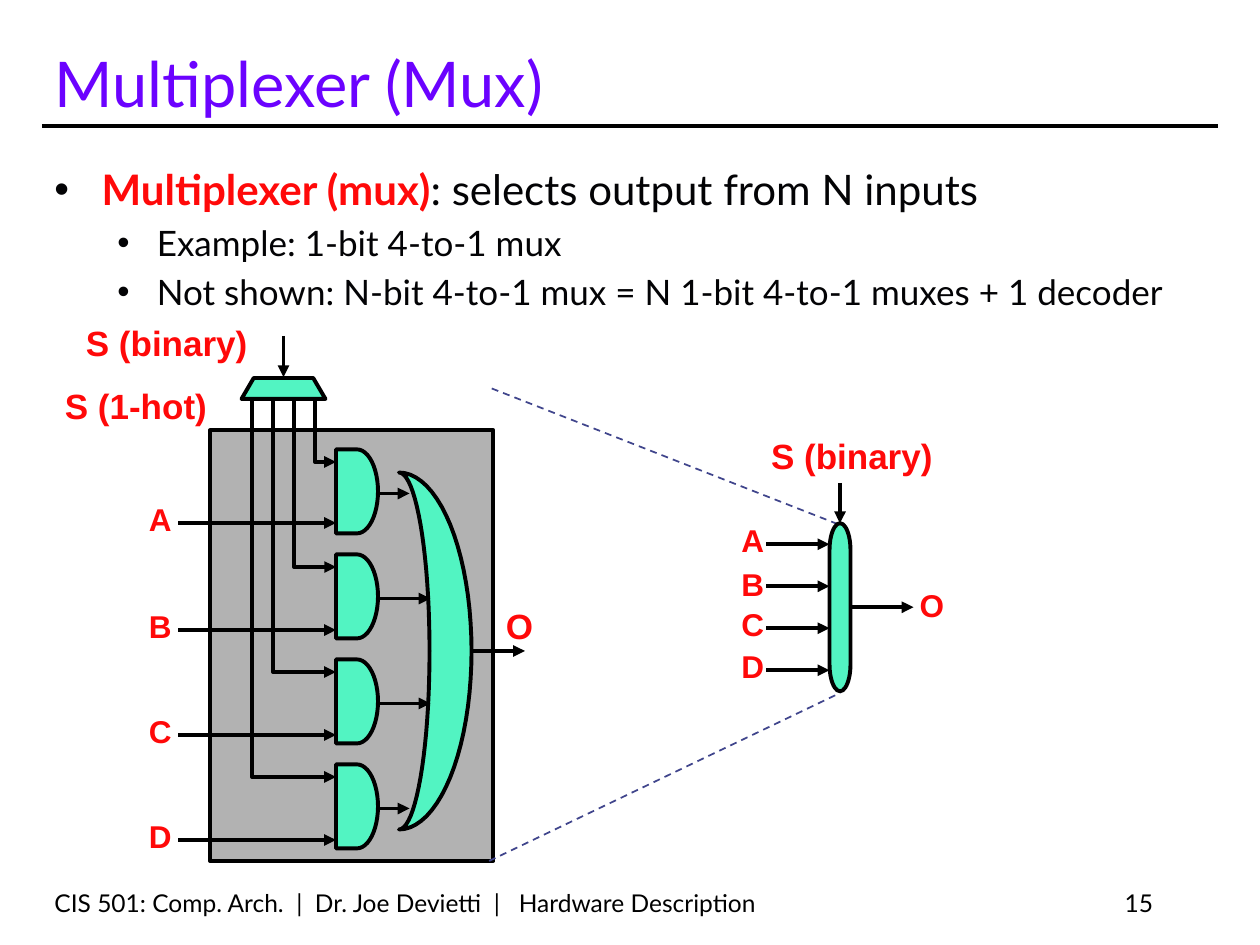
import math

from lxml import etree
from pptx import Presentation
from pptx.dml.color import RGBColor
from pptx.enum.dml import MSO_LINE
from pptx.enum.shapes import MSO_CONNECTOR, MSO_SHAPE
from pptx.enum.text import MSO_ANCHOR, MSO_AUTO_SIZE, PP_ALIGN
from pptx.oxml.ns import qn
from pptx.util import Pt

STRAIGHT = MSO_CONNECTOR.STRAIGHT
RECTANGLE = MSO_SHAPE.RECTANGLE
AND_GATE = MSO_SHAPE.FLOWCHART_DELAY
TERMINATOR = MSO_SHAPE.FLOWCHART_TERMINATOR
DASH = MSO_LINE.DASH
BOTTOM = MSO_ANCHOR.BOTTOM
FIT_SHAPE = MSO_AUTO_SIZE.SHAPE_TO_FIT_TEXT
RIGHT = PP_ALIGN.RIGHT

BLACK = RGBColor(0x00, 0x00, 0x00)
INK = RGBColor(0x03, 0x03, 0x05)
PURPLE = RGBColor(0x6B, 0x02, 0xFF)
RED = RGBColor(0xFF, 0x09, 0x09)
GREEN = RGBColor(0x52, 0xF4, 0xC2)
GREY = RGBColor(0xB2, 0xB2, 0xB2)
BLUE = RGBColor(0x40, 0x45, 0x8C)

INPUTS = "ABCD"
SELECT_WIDTH = 112
# level, left margin, hanging indent, size, space before, runs as (text, colour, bold)
BULLETS = [
    (0, 27, 27, 24, 0, [("Multiplexer (mux)", RED, True),
                        (": selects output from N inputs", INK, False)]),
    (1, 58.5, 22.5, 20, 4, [("Example: 1-bit 4-to-1 mux", INK, False)]),
    (1, 58.5, 22.5, 20, 4,
     [("Not shown: N-bit 4-to-1 mux = N 1-bit 4-to-1 muxes + 1 decoder", INK, False)]),
]


def add_run(paragraph, text, size, color, name="Lato", bold=False):
    run = paragraph.add_run()
    run.text = text
    for attribute, value in {"size": Pt(size), "name": name, "bold": bold}.items():
        setattr(run.font, attribute, value)
    run.font.color.rgb = color


def add_text(slide, box, text, size, color, align=None):
    """Put one bottom-anchored line of text into box."""
    shape = slide.shapes.add_textbox(*map(Pt, box))
    frame = shape.text_frame
    frame.word_wrap = True
    frame.vertical_anchor = BOTTOM
    paragraph = frame.paragraphs[0]
    paragraph.alignment = align
    add_run(paragraph, text, size, color)


def add_label(slide, left, top, width, text, size=18):
    shape = slide.shapes.add_textbox(Pt(left), Pt(top), Pt(width), Pt(size * 1.2 + 7.2))
    frame = shape.text_frame
    frame.word_wrap = False
    frame.auto_size = FIT_SHAPE
    add_run(frame.paragraphs[0], text, size, RED, "Arial", True)


def style_line(line, color=BLACK, width=2.25):
    line.color.rgb = color
    line.width = Pt(width)


def add_arrowhead(shape):
    outline = shape._element.spPr.find(qn("a:ln"))
    etree.SubElement(outline, qn("a:tailEnd"), type="triangle")


def add_line(slide, start, end, color=BLACK, width=2.25, dash=None, arrow=False):
    line = slide.shapes.add_connector(STRAIGHT, *map(Pt, (*start, *end)))
    style_line(line.line, color, width)
    line.line.dash_style = dash
    if arrow:
        add_arrowhead(line)
    etree.SubElement(line._element.spPr, qn("a:effectLst"))


def style_shape(shape, fill):
    shape.shadow.inherit = False
    style_line(shape.line)
    if fill is None:
        shape.fill.background()
    else:
        shape.fill.solid()
        shape.fill.fore_color.rgb = fill


def add_preset(slide, preset, box, fill):
    shape = slide.shapes.add_shape(preset, *map(Pt, box))
    style_shape(shape, fill)
    return shape


def add_outline(slide, points, fill=None, close=True):
    first, *others = [(Pt(x), Pt(y)) for x, y in points]
    builder = slide.shapes.build_freeform(*first)
    builder.add_line_segments(others, close=close)
    shape = builder.convert_to_shape()
    style_shape(shape, fill)
    return shape


def add_body(slide, box):
    frame = slide.shapes.add_textbox(*map(Pt, box)).text_frame
    frame.word_wrap = True
    for index, (level, margin, hanging, size, space, runs) in enumerate(BULLETS):
        paragraph = frame.paragraphs[0] if index == 0 else frame.add_paragraph()
        paragraph.level = level
        paragraph.space_before = Pt(space)
        properties = paragraph._p.get_or_add_pPr()
        properties.set("marL", str(Pt(margin)))
        properties.set("indent", str(-Pt(hanging)))
        bullet_color = etree.SubElement(properties, qn("a:buClr"))
        etree.SubElement(bullet_color, qn("a:srgbClr"), val=str(INK))
        etree.SubElement(properties, qn("a:buFont"), typeface="Arial")
        etree.SubElement(properties, qn("a:buChar"), char="•")
        for text, color, bold in runs:
            add_run(paragraph, text, size, color, bold=bold)


def add_or_gate(slide, left, top, width, height, hollow):
    """Draw a crescent between two half ellipses, of radius width and hollow."""
    middle, radius, steps = top + height / 2, height / 2, 40
    angles = [math.pi * (step / steps - 0.5) for step in range(steps + 1)]
    outer, inner = ([(left + reach * math.cos(angle), middle + radius * math.sin(angle))
                     for angle in angles] for reach in (width, hollow))
    add_outline(slide, outer + inner[::-1], GREEN)


def add_decoder(slide, left, top, width, height):
    right, bottom, slant = left + width, top + height, 7
    add_outline(slide, [(left, bottom), (left + slant, top),
                        (right - slant, top), (right, bottom)], GREEN)
    center = left + width / 2
    add_line(slide, (center, top - 24), (center, top - 0.5), arrow=True)
    add_label(slide, left - 96, top - 36, SELECT_WIDTH, "S (binary)", 20)
    add_label(slide, left - 108, top, SELECT_WIDTH, "S (1-hot)", 20)


def add_circuit(slide, left, top, width, height):
    add_preset(slide, RECTANGLE, (left, top, width, height), GREY)
    add_decoder(slide, left + 18, top - 30, 48, 12)
    gate_left, gate_width, row_height = left + 72, 24, 60
    gate_right = gate_left + gate_width
    add_or_gate(slide, gate_right + 12, top + 24, 41.5, 204, 17.5)
    for row, name in enumerate(INPUTS):
        row_top = top + row * row_height
        add_preset(slide, AND_GATE, (gate_left, row_top + 10.8, gate_width, 48), GREEN)
        input_y = row_top + (52.8 if row == 0 else 54)
        add_line(slide, (left - 18, input_y), (gate_left, input_y), arrow=True)
        add_label(slide, left - 42, input_y - 16.8, 27, name)
        wire_x = left + 60 - 12 * row
        wire = add_outline(slide, [(wire_x, top - 18), (wire_x, row_top + 18),
                                   (gate_left, row_top + 18)], close=False)
        add_arrowhead(wire)
        reach = 18 if row in (0, len(INPUTS) - 1) else 30
        add_line(slide, (gate_right, row_top + 36),
                 (gate_right + reach, row_top + 36), arrow=True)
    output_y = top + 126
    add_line(slide, (left + 150, output_y), (left + 180, output_y), arrow=True)
    add_label(slide, left + width, output_y - 30, 30, "O", 20)


def add_mux_symbol(slide, left, top, width, height):
    center, middle, right = left + width / 2, top + height / 2, left + width
    body = add_preset(slide, TERMINATOR, (center - height / 2, middle - width / 2,
                                          height, width), GREEN)
    body.rotation = 90
    pitch = height / len(INPUTS)
    for row, (name, label_y) in enumerate(zip(INPUTS, (-5, 20.4, 43, 67))):
        y = top + pitch * (row + 0.5)
        add_line(slide, (left - 36, y), (left, y), arrow=True)
        add_label(slide, left - 57.5, top + label_y, 27, name)
    add_line(slide, (right, middle), (right + 36, middle), arrow=True)
    add_label(slide, right + 32.4, middle - 15.5, 28.5, "O")
    add_line(slide, (center, top - 23), (center, top), arrow=True)
    add_label(slide, left - 40.5, top - 54, SELECT_WIDTH, "S (binary)", 20)


def main():
    presentation = Presentation()
    presentation.slide_width, presentation.slide_height = Pt(720), Pt(540)
    slide = presentation.slides.add_slide(presentation.slide_layouts[6])
    add_line(slide, (24, 72), (696, 72))
    add_text(slide, (24, 504, 450, 24),
             "CIS 501: Comp. Arch.  |  Dr. Joe Devietti  |   Hardware Description", 14, BLACK)
    add_text(slide, (516, 504, 150, 24), "15", 14, BLACK, RIGHT)
    add_text(slide, (24, 18, 636, 54), "Multiplexer (Mux)", 36, PURPLE)
    add_body(slide, (24, 90, 672, 402))
    add_circuit(slide, 120, 246, 162, 246)
    for start, end in (((281, 222), (480, 300)), ((279.5, 492), (480, 396))):
        add_line(slide, start, end, BLUE, 1, DASH)
    add_mux_symbol(slide, 474, 299, 12, 96)
    presentation.save("out.pptx")


if __name__ == "__main__":
    main()
